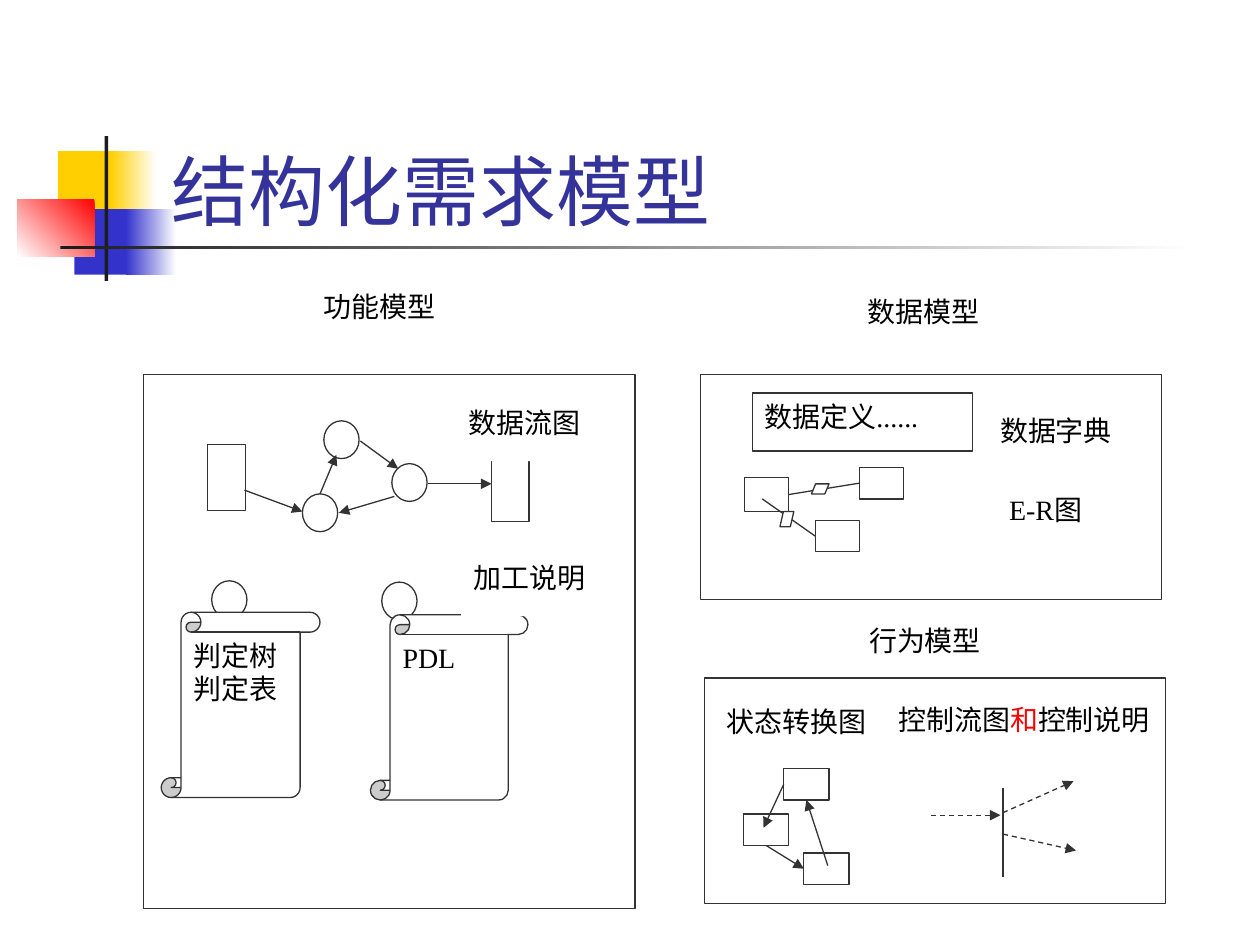
import lxml.etree
import pptx
import pptx.dml.color
import pptx.enum.dml
import pptx.enum.shapes
import pptx.enum.text
import pptx.util
from pptx.oxml.ns import qn

KIND = pptx.enum.shapes.MSO_SHAPE
ALIGN = pptx.enum.text.PP_ALIGN
ANCHOR = pptx.enum.text.MSO_ANCHOR
INK, WHITE, BLACK, RED = "333333", "FFFFFF", "000000", "FF0000"


def color(code):
    return pptx.dml.color.RGBColor.from_string(code)


def length(inches):
    return pptx.util.Cm(inches * 2.54)


class Sketch:
    """Style of the diagram and the slide being drawn."""

    body = {"name": "Times New Roman", "size": pptx.util.Pt(16)}
    heading = {"name": "Karla", "size": pptx.util.Pt(44)}
    thin, thick = pptx.util.Pt(0.75), pptx.util.Pt(1.5)

    def __init__(self, slide):
        self.slide = slide

    def shape(self, kind, at, fill=WHITE, line=INK, adjust=None):
        shape = self.slide.shapes.add_shape(kind, *map(length, at))
        shape.shadow.inherit = False
        if adjust is not None:
            shape.adjustments[0] = adjust
        if fill:
            shape.fill.solid()
            shape.fill.fore_color.rgb = color(fill)
        else:
            shape.fill.background()
        if line:
            shape.line.color.rgb = color(line)
            shape.line.width = self.thin
        else:
            shape.line.fill.background()
        return shape

    def box(self, at, fill=WHITE, line=INK):
        return self.shape(KIND.RECTANGLE, at, fill, line)

    def circle(self, left, top):
        return self.shape(KIND.OVAL, (left, top, 0.28, 0.3))

    def fade(self, at, start, end, angle=0):
        shape = self.box(at, line=None)
        shape.fill.gradient()
        shape.fill.gradient_angle = angle
        for stop, code in zip(shape.fill.gradient_stops, (start, end)):
            stop.color.rgb = color(code)

    def put_text(self, shape, paragraphs, font=None, align=ALIGN.JUSTIFY,
                 anchor=ANCHOR.TOP, side=0.1):
        """Each paragraph is a list of (text, colour) spans."""
        frame = shape.text_frame
        layout = {"word_wrap": True, "vertical_anchor": anchor,
                  "margin_left": length(side), "margin_right": length(side),
                  "margin_top": length(0.05), "margin_bottom": length(0.05)}
        for name, value in layout.items():
            setattr(frame, name, value)
        for index, spans in enumerate(paragraphs):
            para = frame.add_paragraph() if index else frame.paragraphs[0]
            para.alignment = align
            for text, code in spans:
                span = para.add_run()
                span.text = text
                for name, value in (font or self.body).items():
                    setattr(span.font, name, value)
                span.font.color.rgb = color(code)

    def label(self, at, *spans, side=0.1):
        self.put_text(self.box(at, line=None), [spans], side=side)

    def title(self, at, text):
        box = self.slide.shapes.add_textbox(*map(length, at))
        self.put_text(box, [[(text, "333399")]], self.heading, ALIGN.LEFT, ANCHOR.BOTTOM)

    def scroll(self, at, *lines):
        shape = self.shape(KIND.VERTICAL_SCROLL, at, adjust=0.125)
        self.put_text(shape, [[(line, BLACK)] for line in lines])

    def line(self, start, end, arrow=True, dashed=False, width=None,
             begin=None, finish=None):
        """begin and finish are (shape, side) pairs to join."""
        line = self.slide.shapes.add_connector(
            pptx.enum.shapes.MSO_CONNECTOR.STRAIGHT, *map(length, start + end))
        if begin:
            line.begin_connect(*begin)
        if finish:
            line.end_connect(*finish)
        line.line.color.rgb = color(INK)
        line.line.width = width or self.thin
        if dashed:
            line.line.dash_style = pptx.enum.dml.MSO_LINE.DASH
        properties = line.element.spPr
        if arrow:
            lxml.etree.SubElement(properties.find(qn("a:ln")), qn("a:tailEnd"), type="triangle")
        lxml.etree.SubElement(properties, qn("a:effectLst"))


def draw_heading(sketch):
    sketch.box((0.46, 1.2, 0.48, 0.52), "FFCF01", None)
    sketch.fade((0.88, 1.2, 0.36, 0.52), "FFCF01", WHITE)
    sketch.box((0.59, 1.66, 0.46, 0.52), "3333CC", None)
    sketch.fade((1, 1.66, 0.4, 0.52), "3333CC", WHITE)
    sketch.fade((0.14, 1.58, 0.61, 0.46), RED, WHITE, 225)
    sketch.box((0.83, 1.08, 0.03, 1.15), "1C1C1C", None)
    sketch.fade((0.48, 1.95, 9, 0.03), "1C1C1C", WHITE)
    sketch.title((1.26, 0.67, 8.52, 1.25), "结构化需求模型")


def draw_function_model(sketch):
    sketch.label((2.47, 2.25, 1.25, 0.44), ("功能模型", BLACK))
    sketch.box((1.14, 2.97, 3.9, 4.24))

    # Data flow diagram
    for left, top in ((2.57, 3.34), (2.4, 3.92), (3.11, 3.68)):
        sketch.circle(left, top)
    for left, top in ((1.65, 3.53), (3.9, 3.62)):
        sketch.box((left, top, 0.3, 0.52))
    for start, end in (((1.94, 3.89), (2.4, 4.06)), ((2.54, 3.92), (2.67, 3.61)),
                       ((3.13, 3.94), (2.69, 4.07)), ((2.86, 3.5), (3.16, 3.72)),
                       ((3.4, 3.84), (3.9, 3.84))):
        sketch.line(start, end)
    sketch.label((3.62, 3.17, 1.26, 0.49), ("数据流图", BLACK))

    # Process descriptions
    sketch.circle(1.68, 4.61)
    sketch.circle(3.03, 4.62)
    sketch.scroll((1.28, 4.86, 1.26, 1.47), "判定树", "判定表")
    sketch.scroll((2.94, 4.88, 1.25, 1.47), "PDL")
    sketch.label((3.66, 4.4, 1.26, 0.49), ("加工说明", BLACK))


def draw_data_model(sketch):
    sketch.label((6.79, 2.29, 1.25, 0.44), ("数据模型", BLACK))
    sketch.label((7.84, 3.23, 1.26, 0.49), ("数据字典", BLACK))
    sketch.box((5.56, 2.97, 3.66, 1.79), None)
    sketch.put_text(sketch.box((5.97, 3.12, 1.75, 0.46)), [[("数据定义......", BLACK)]])
    sketch.label((7.91, 3.86, 1.12, 0.46), ("E-R图", BLACK))

    # Entities and relationships
    source = sketch.box((5.91, 3.79, 0.35, 0.27))
    upper = sketch.box((6.82, 3.71, 0.35, 0.25))
    lower = sketch.box((6.47, 4.13, 0.35, 0.25))
    sketch.line((6.05, 3.96), (6.47, 4.28), arrow=False, finish=(lower, 1))
    sketch.line((6.25, 3.94), (6.8, 3.84), arrow=False, begin=(source, 3), finish=(upper, 1))
    sketch.shape(KIND.PARALLELOGRAM, (6.44, 3.84, 0.14, 0.08), adjust=0.42)
    sketch.shape(KIND.PARALLELOGRAM, (6.19, 4.06, 0.11, 0.12), adjust=0.25)


def draw_behaviour_model(sketch):
    sketch.box((5.59, 5.38, 3.66, 1.79), None)
    sketch.label((6.8, 4.9, 1.25, 0.44), ("行为模型", BLACK))

    # State transitions
    sketch.label((5.75, 5.54, 1.2, 0.46), ("状态转换图", BLACK), side=0.02)
    first, second, third = [sketch.box((left, top, 0.36, 0.25))
                            for left, top in ((6.22, 6.1), (5.9, 6.46), (6.38, 6.77))]
    sketch.line((6.22, 6.25), (6.06, 6.57), begin=(first, 1))
    sketch.line((6.06, 6.72), (6.38, 6.92), begin=(second, 2), finish=(third, 1))
    sketch.line((6.57, 6.87), (6.41, 6.35), finish=(first, 2))

    # Control flow
    sketch.label((7.11, 5.53, 2.08, 0.46), ("控制流图", BLACK), ("和", RED),
                 ("控制说明", BLACK), side=0.02)
    sketch.line((7.96, 6.25), (7.96, 6.96), arrow=False, width=sketch.thick)
    for start, end in (((7.39, 6.47), (7.94, 6.47)), ((7.96, 6.45), (8.52, 6.2)),
                       ((7.96, 6.62), (8.54, 6.75))):
        sketch.line(start, end, dashed=True)


def main():
    deck = pptx.Presentation()
    deck.slide_width, deck.slide_height = length(10), length(7.5)
    sketch = Sketch(deck.slides.add_slide(deck.slide_layouts[6]))
    draw_heading(sketch)
    draw_function_model(sketch)
    draw_data_model(sketch)
    draw_behaviour_model(sketch)
    deck.save("out.pptx")


if __name__ == "__main__":
    main()
